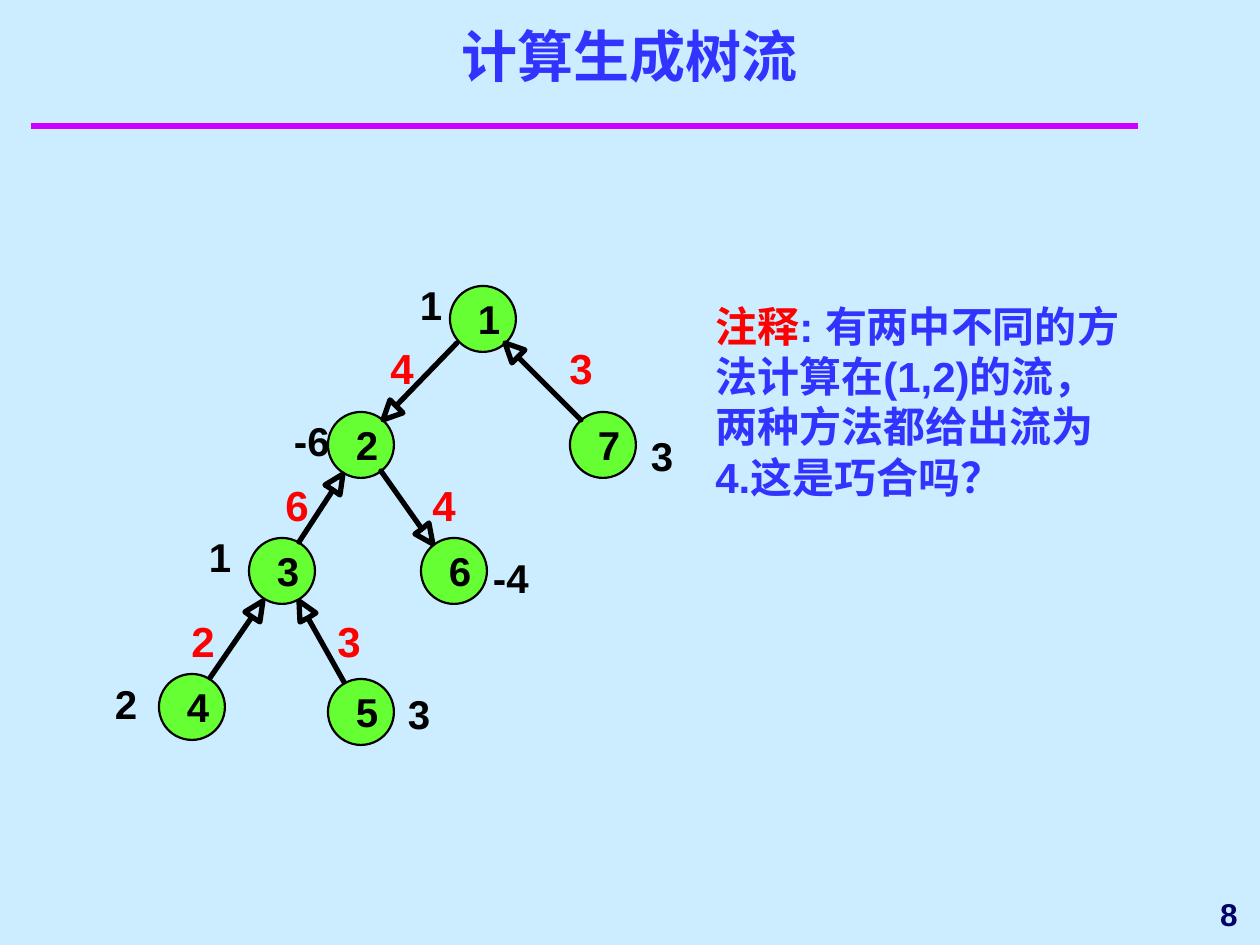
import math

import lxml.etree
import pptx
import pptx.dml.color
import pptx.enum.shapes
import pptx.enum.text
import pptx.oxml.ns
import pptx.util

ANCHOR = pptx.enum.text.MSO_ANCHOR
ALIGN = pptx.enum.text.PP_ALIGN
FIT = pptx.enum.text.MSO_AUTO_SIZE
SCALE = 914400 / 126
NODE_SIZE = 66
HEAD_LENGTH = 19
HEAD_HALF_WIDTH = 9

THEME = {
    "background": "CCECFF",
    "rule": "CC00FF",
    "node": "66FF33",
    "ink": "000000",
    "font": "Arial",
    "title": {"size": 32, "color": "3333FF"},
    "number": {"size": 23, "color": "000000"},
    "flow": {"size": 24, "color": "FF0000"},
    "note": {"size": 24, "color": "3333FF"},
    "page_number": {"size": 18, "color": "000066"},
}

NODES = [
    ("1", (450, 286), "1", (420, 280)),
    ("2", (328, 412), "-6", (294, 416)),
    ("3", (249, 538), "1", (209, 532)),
    ("4", (159, 674), "2", (115, 679)),
    ("5", (328, 679), "3", (408, 689)),
    ("6", (421, 538), "-4", (493, 553)),
    ("7", (570, 412), "3", (651, 431)),
]

ARCS = [
    ((457, 343), (383, 420), "4", (378, 336)),
    ((299, 542), (343, 474), "6", (273, 473)),
    ((210, 678), (263, 601), "2", (179, 609)),
    ((344, 682), (299, 601), "3", (325, 609)),
    ((381, 471), (433, 544), "4", (420, 473)),
    ((581, 420), (505, 343), "3", (557, 336)),
]


def px(*lengths):
    return [pptx.util.Emu(round(length * SCALE)) for length in lengths]


def rgb(color):
    return pptx.dml.color.RGBColor.from_string(color)


def apply(target, values):
    for name, value in values.items():
        setattr(target, name, value)


def set_line(line, color, width):
    line.color.rgb = rgb(color)
    line.width = pptx.util.Pt(width)


def add_text(page, place, spans, align=ALIGN.LEFT, **frame_values):
    box = page.shapes.add_textbox(*px(*place))
    apply(box.text_frame, {"word_wrap": True, **frame_values})
    para = box.text_frame.paragraphs[0]
    para.alignment = align
    for text, style in spans:
        span = para.add_run()
        span.text = text
        apply(span.font, {
            "name": THEME["font"],
            "size": pptx.util.Pt(THEME[style]["size"]),
            "bold": True,
        })
        span.font.color.rgb = rgb(THEME[style]["color"])


def add_number(page, left, top, text):
    margins = dict.fromkeys(
        ("margin_left", "margin_top", "margin_right", "margin_bottom"), 0)
    width = 23 if len(text) == 1 else 37
    add_text(page, (left, top, width, 48), [(text, "number")],
             word_wrap=False, auto_size=FIT.SHAPE_TO_FIT_TEXT, **margins)


def add_node(page, label, corner, supply, supply_corner):
    left, top = corner
    circle = page.shapes.add_shape(
        pptx.enum.shapes.MSO_SHAPE.OVAL, *px(left, top, NODE_SIZE, NODE_SIZE))
    circle.shadow.inherit = False
    circle.fill.solid()
    circle.fill.fore_color.rgb = rgb(THEME["node"])
    set_line(circle.line, THEME["ink"], 1.25)
    add_number(page, left + 28, top + 8, label)
    add_number(page, *supply_corner, supply)


def add_arc(page, tail, tip):
    length = math.dist(tail, tip)
    along = [(end - start) / length for start, end in zip(tail, tip)]
    across = (-along[1], along[0])
    neck = [end - HEAD_LENGTH * step for end, step in zip(tip, along)]
    wings = [
        [base + side * HEAD_HALF_WIDTH * step for base, step in zip(neck, across)]
        for side in (1, -1)
    ]
    builder = page.shapes.build_freeform(*tail, scale=SCALE)
    builder.add_line_segments([neck, wings[0], tip, wings[1], neck], close=True)
    arrow = builder.convert_to_shape()
    arrow.shadow.inherit = False
    arrow.fill.background()
    set_line(arrow.line, THEME["ink"], 3)


def add_rule(page, left, right, height):
    rule = page.shapes.add_connector(
        pptx.enum.shapes.MSO_CONNECTOR.STRAIGHT, *px(left, height, right, height))
    set_line(rule.line, THEME["rule"], 4)
    lxml.etree.SubElement(
        rule._element.spPr, pptx.oxml.ns.qn("a:effectLst"))


def main():
    deck = pptx.Presentation()
    deck.slide_width, deck.slide_height = px(1260, 945)
    page = deck.slides.add_slide(deck.slide_layouts[6])
    page.background.fill.solid()
    page.background.fill.fore_color.rgb = rgb(THEME["background"])

    add_rule(page, 31, 1138, 126)
    add_text(page, (0, 42, 1260, 53), [("计算生成树流", "title")],
             ALIGN.CENTER, vertical_anchor=ANCHOR.BOTTOM)
    for node in NODES:
        add_node(page, *node)
    for tail, tip, _, _ in ARCS:
        add_arc(page, tail, tip)
    note = "有两中不同的方法计算在(1,2)的流，两种方法都给出流为 4.这是巧合吗？"
    add_text(page, (703, 294, 441, 214),
             [("注释", "flow"), (": " + note, "note")],
             auto_size=FIT.SHAPE_TO_FIT_TEXT)
    for _, _, flow, corner in ARCS:
        add_text(page, (*corner, 73, 63), [(flow, "flow")],
                 auto_size=FIT.SHAPE_TO_FIT_TEXT)
    add_text(page, (1008, 882, 242, 63), [("8", "page_number")],
             ALIGN.RIGHT, vertical_anchor=ANCHOR.MIDDLE)
    deck.save("out.pptx")


if __name__ == "__main__":
    main()
